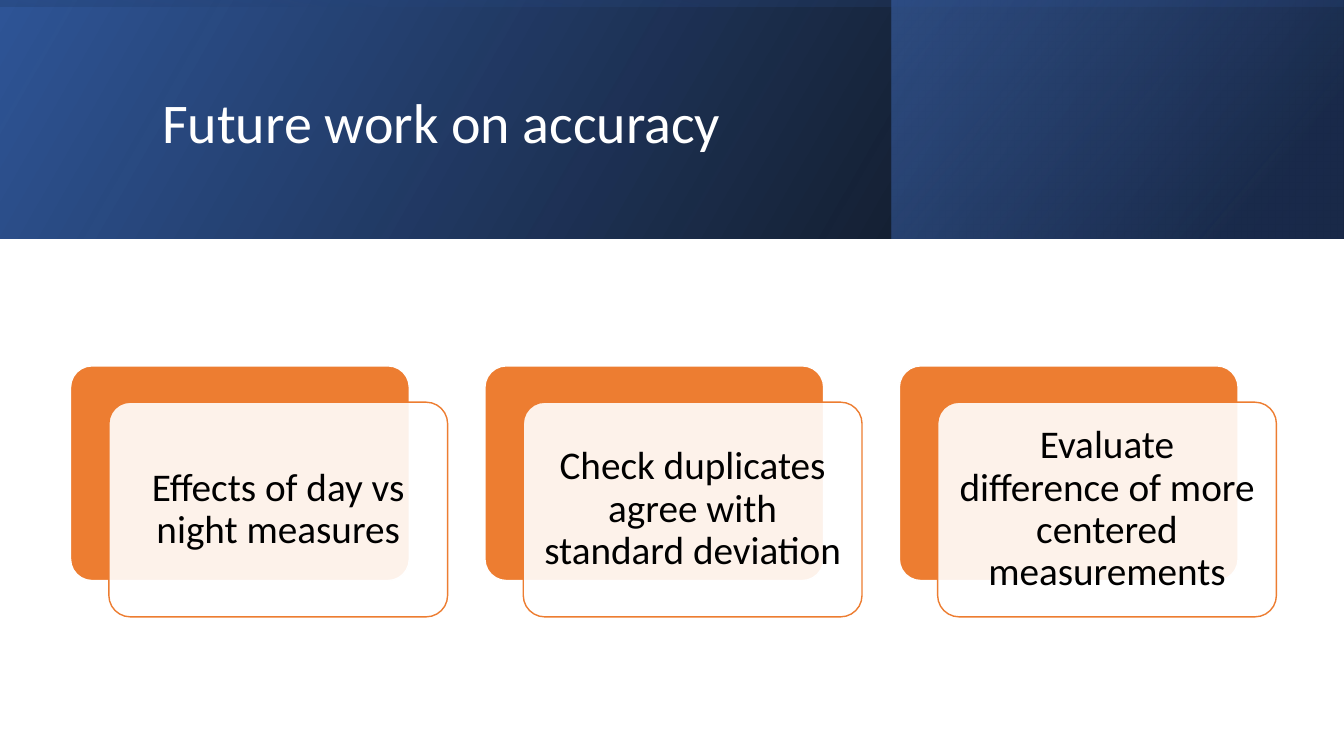
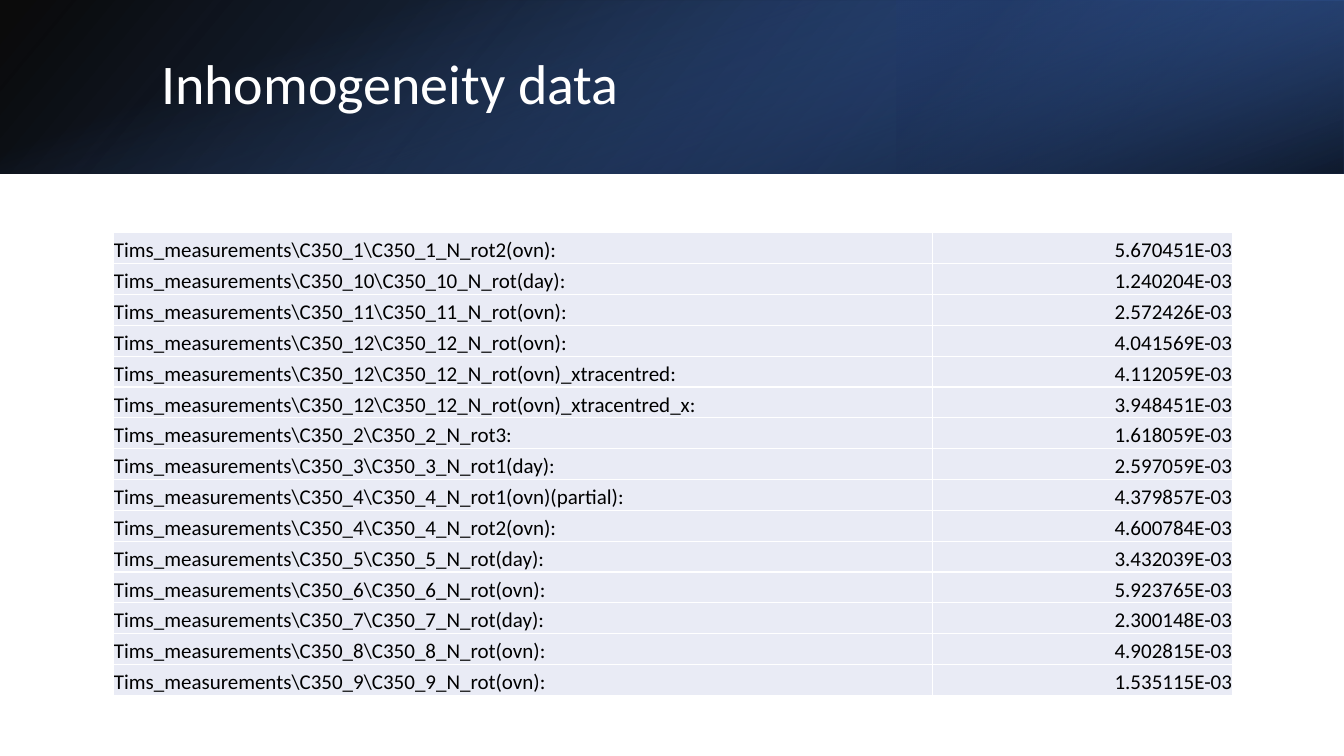
from lxml import etree
from pptx import Presentation
from pptx.dml.color import RGBColor
from pptx.enum.shapes import MSO_SHAPE
from pptx.enum.text import MSO_ANCHOR, PP_ALIGN
from pptx.oxml.ns import qn
from pptx.util import Pt

RECTANGLE = MSO_SHAPE.RECTANGLE
ROUNDED = MSO_SHAPE.ROUNDED_RECTANGLE
MIDDLE, BOTTOM = MSO_ANCHOR.MIDDLE, MSO_ANCHOR.BOTTOM
LEFT, CENTER, RIGHT = PP_ALIGN.LEFT, PP_ALIGN.CENTER, PP_ALIGN.RIGHT

PX = 9144
SLIDE_WIDTH, SLIDE_HEIGHT = 1333, 750
FONT = "Calibri"
COLORS = {
    "black": "000000",
    "white": "FFFFFF",
    "blue": "4472C4",
    "deep": "2F5597",
    "navy": "203864",
    "orange": "ED7D31",
    "cell": "E9EBF5",
}

FUTURE_BANDS = [
    dict(box=(0, 0, 1333, 237), angle=330, flip=True,
         stops=[(0, "black", 96), (100, "deep", 100)]),
    dict(box=(884, 0, 448, 237), angle=320, flip=True,
         stops=[(19, "navy", 68), (100, "blue", 48)]),
    dict(box=(548, -548, 237, 1333), angle=350, flip=True, rotation=270,
         stops=[(23, "deep", 16), (99, "black", 45)]),
]
DATA_BANDS = [
    dict(box=(0, 0, 1333, 172), angle=140, flip=True,
         stops=[(0, "black", 96), (100, "deep", 100)]),
    dict(box=(889, 0, 444, 172), angle=320, flip=True, rotation=180,
         stops=[(19, "navy", 68), (100, "blue", 79)]),
    dict(box=(580, -580, 172, 1333), angle=340, rotation=90,
         stops=[(23, "blue", 0), (99, "black", 74)]),
]
FUTURE_TASKS = [
    "Effects of day vs night measures",
    "Check duplicates agree with standard deviation",
    "Evaluate difference of more centered measurements",
]
MEASUREMENTS = [
    (1, "rot2(ovn)", "5.670451E-03"),
    (10, "rot(day)", "1.240204E-03"),
    (11, "rot(ovn)", "2.572426E-03"),
    (12, "rot(ovn)", "4.041569E-03"),
    (12, "rot(ovn)_xtracentred", "4.112059E-03"),
    (12, "rot(ovn)_xtracentred_x", "3.948451E-03"),
    (2, "rot3", "1.618059E-03"),
    (3, "rot1(day)", "2.597059E-03"),
    (4, "rot1(ovn)(partial)", "4.379857E-03"),
    (4, "rot2(ovn)", "4.600784E-03"),
    (5, "rot(day)", "3.432039E-03"),
    (6, "rot(ovn)", "5.923765E-03"),
    (7, "rot(day)", "2.300148E-03"),
    (8, "rot(ovn)", "4.902815E-03"),
    (9, "rot(ovn)", "1.535115E-03"),
]


def emu(*lengths):
    return [length * PX for length in lengths]


def rgb(name):
    return RGBColor.from_string(COLORS[name])


def set_alpha(color_element, percent):
    etree.SubElement(color_element, qn("a:alpha"), val=str(percent * 1000))


def write_text(frame, text, *, size, color="black", align=LEFT, spacing=0.9):
    paragraph = frame.paragraphs[0]
    paragraph.alignment = align
    paragraph.line_spacing = spacing
    run = paragraph.add_run()
    run.text = text
    run.font.name = FONT
    run.font.size = Pt(size)
    run.font.color.rgb = rgb(color)


def add_band(slide, *, box, angle, stops, flip=False, rotation=0):
    shape = slide.shapes.add_shape(RECTANGLE, *emu(*box))
    shape.shadow.inherit = False
    shape.line.fill.background()
    shape.rotation = rotation
    if flip:
        shape._element.spPr.find(qn("a:xfrm")).set("flipH", "1")
    shape.fill.gradient()
    shape.fill.gradient_angle = 360 - angle
    for stop, (position, color, _) in zip(shape.fill.gradient_stops, stops):
        stop.position = position / 100
        stop.color.rgb = rgb(color)
    color_elements = list(shape._element.spPr.iter(qn("a:srgbClr")))
    for element, (_, _, opacity) in zip(color_elements, stops):
        set_alpha(element, opacity)


def add_header(slide, bands, title, title_box):
    for band in bands:
        add_band(slide, **band)
    frame = slide.shapes.add_textbox(*emu(*title_box)).text_frame
    frame.word_wrap = True
    frame.vertical_anchor = MIDDLE
    write_text(frame, title, size=40, color="white")


def add_panel(slide, box, fill, line):
    shape = slide.shapes.add_shape(ROUNDED, *emu(*box))
    shape.shadow.inherit = False
    shape.adjustments[0] = 0.1
    shape.fill.solid()
    shape.fill.fore_color.rgb = rgb(fill)
    shape.line.color.rgb = rgb(line)
    shape.line.width = Pt(1)
    return shape


def add_card(slide, box, text):
    left, top, width, height = box
    add_panel(slide, box, "orange", "white")
    front = add_panel(slide, (left + 38, top + 36, width, height), "white", "orange")
    set_alpha(front._element.spPr.find(qn("a:solidFill"))[0], 90)
    frame = front.text_frame
    frame.word_wrap = True
    frame.vertical_anchor = MIDDLE
    frame.margin_left = frame.margin_right = 12 * PX
    frame.margin_top = frame.margin_bottom = 12 * PX
    write_text(frame, text, size=28, align=CENTER)


def add_cards(slide, box, texts):
    left, top, width, height = box
    pitch = 411
    for index, text in enumerate(texts):
        add_card(slide, (left + index * pitch, top, width, height), text)


def format_cell(cell, text, align):
    properties = cell._tc.get_or_add_tcPr()
    for side in ("lnL", "lnR", "lnT", "lnB"):
        border = etree.SubElement(properties, qn(f"a:{side}"), w=str(Pt(1)))
        fill = etree.SubElement(border, qn("a:solidFill"))
        etree.SubElement(fill, qn("a:srgbClr"), val=COLORS["white"])
    cell.fill.solid()
    cell.fill.fore_color.rgb = rgb("cell")
    cell.vertical_anchor = BOTTOM
    cell.margin_left = cell.margin_right = cell.margin_top = PX
    cell.margin_bottom = 0
    write_text(cell.text_frame, text, size=15, align=align, spacing=1.0)


def add_measurement_table(slide, box, value_width):
    table = slide.shapes.add_table(len(MEASUREMENTS), 2, *emu(*box)).table
    table.first_row = False
    table.horz_banding = False
    table.columns[0].width = (box[2] - value_width) * PX
    table.columns[1].width = value_width * PX
    for row, (sample, run_name, value) in enumerate(MEASUREMENTS):
        label = f"Tims_measurements\\C350_{sample}\\C350_{sample}_N_{run_name}:"
        format_cell(table.cell(row, 0), label, LEFT)
        format_cell(table.cell(row, 1), value, RIGHT)


def build_future_slide(slide):
    add_header(slide, FUTURE_BANDS, "Future work on accuracy", (151, 38, 1063, 172))
    add_cards(slide, (70, 363, 336, 213), FUTURE_TASKS)


def build_data_slide(slide):
    add_header(slide, DATA_BANDS, "Inhomogeneity data", (150, 38, 1098, 96))
    add_measurement_table(slide, (112, 231, 1111, 459), 298)


def main():
    presentation = Presentation()
    presentation.slide_width, presentation.slide_height = emu(SLIDE_WIDTH, SLIDE_HEIGHT)
    blank = presentation.slide_layouts[6]
    for build in (build_future_slide, build_data_slide):
        build(presentation.slides.add_slide(blank))
    presentation.save("out.pptx")


if __name__ == "__main__":
    main()
